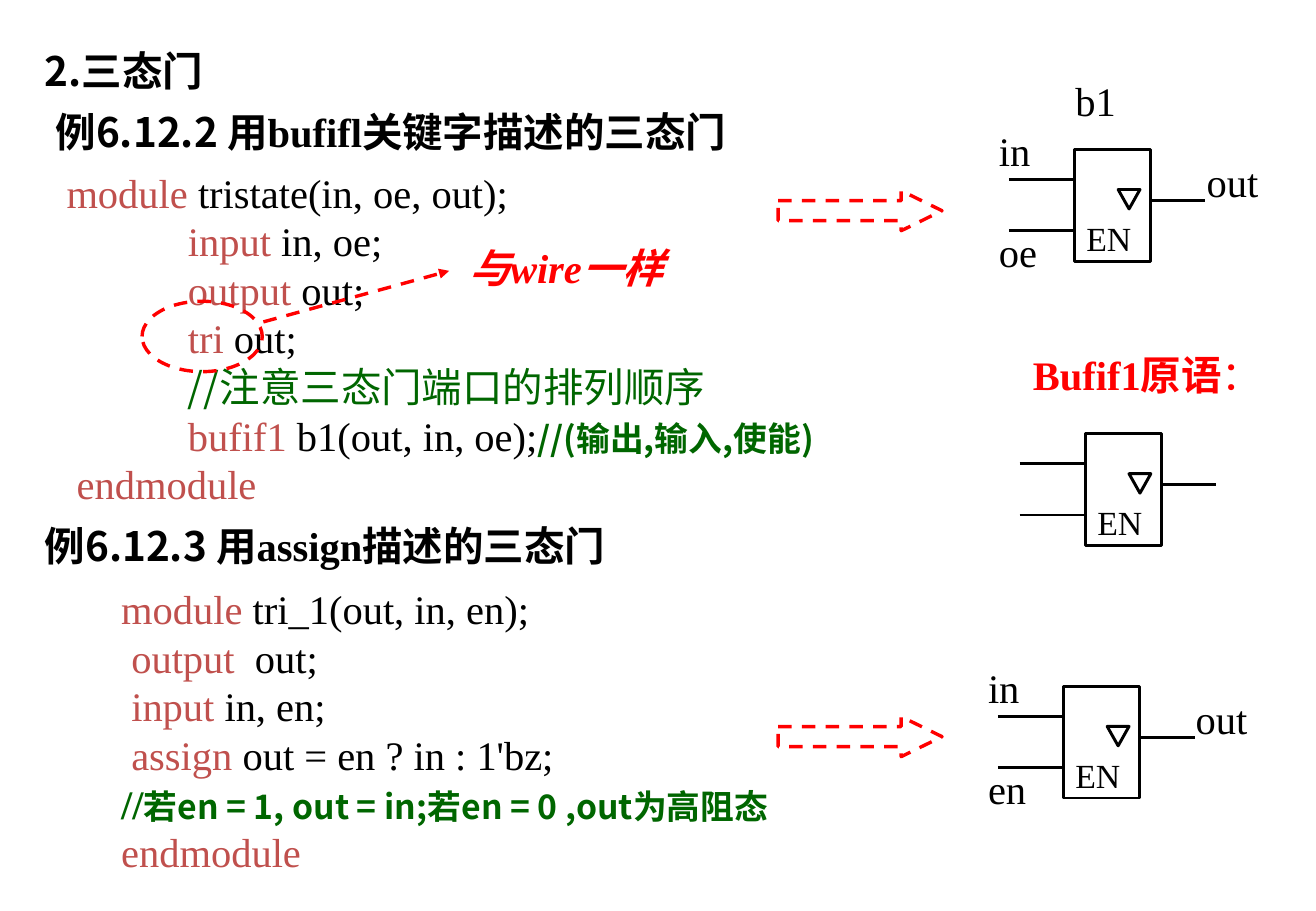
from lxml import etree
from pptx import Presentation
from pptx import util as u
from pptx.dml.color import RGBColor
from pptx.enum import dml, shapes, text
from pptx.oxml.ns import qn

I = u.Inches
LATIN, CJK = "Times New Roman", "Noto Sans CJK SC"
BLACK, RED, KEYWORD, COMMENT = "000000", "FF0000", "C0504D", "006600"


def rgb(value):
    return RGBColor.from_string(value)


def add_run(p, content, size=24, font=LATIN, color=BLACK, bold=False, italic=False):
    r = p.add_run()
    r.text = content
    f = r.font
    f.size, f.bold, f.italic = u.Pt(size), bold, italic
    f.color.rgb = rgb(color)
    f.name = font
    etree.SubElement(r.font._element, qn("a:ea"), typeface=CJK)


def add_tab_stop(p, pos):
    tabs = etree.SubElement(p._p.get_or_add_pPr(), qn("a:tabLst"))
    etree.SubElement(tabs, qn("a:tab"), pos=str(pos), algn="l")


def fill_text(sp, lines, wrap=True, **fmt):
    """Write lines, each a string or a list of (text, overrides) runs."""
    tf = sp.text_frame
    tf.word_wrap = wrap
    tf.auto_size = text.MSO_AUTO_SIZE.NONE
    tf.vertical_anchor = text.MSO_ANCHOR.TOP
    tf.margin_left = tf.margin_right = I(0.1)
    tf.margin_top, tf.margin_bottom = I(0.06), I(0.05)
    for i, line in enumerate(lines):
        p = tf.paragraphs[0] if i == 0 else tf.add_paragraph()
        p.alignment = text.PP_ALIGN.LEFT
        p.line_spacing = u.Pt(1.2 * fmt.get("size", 24))
        p.space_before = u.Pt(0)
        runs = [(line, {})] if isinstance(line, str) else line
        if runs[0][0].startswith("\t"):
            add_tab_stop(p, I(1))
        for content, overrides in runs:
            add_run(p, content, **{**fmt, **overrides})


def add_text(slide, x, y, w, h, lines, **fmt):
    fill_text(slide.shapes.add_textbox(I(x), I(y), I(w), I(h)), lines, **fmt)


def add_outline(slide, kind, x, y, w, h, color=BLACK, width=1.75, dash=False):
    sp = slide.shapes.add_shape(kind, I(x), I(y), I(w), I(h))
    sp.shadow.inherit = False
    sp.fill.background()
    sp.line.color.rgb = rgb(color)
    sp.line.width = u.Pt(width)
    if dash:
        sp.line.dash_style = dml.MSO_LINE.DASH
    return sp


def add_line(slide, x1, y1, x2, y2, color=BLACK, width=1.75):
    c = slide.shapes.add_connector(shapes.MSO_CONNECTOR.STRAIGHT, I(x1), I(y1), I(x2), I(y2))
    c.line.color.rgb = rgb(color)
    c.line.width = u.Pt(width)
    etree.SubElement(c._element.spPr, qn("a:effectLst"))
    return c


def add_gate(slide, x, y, enable=None):
    """Draw a tristate gate; its ports are labelled when enable is named."""
    add_outline(slide, shapes.MSO_SHAPE.RECTANGLE, x, y, 0.63, 0.92)
    triangle = add_outline(slide, shapes.MSO_SHAPE.ISOSCELES_TRIANGLE, x + 0.36, y + 0.33, 0.18, 0.16)
    triangle.rotation = 180
    add_line(slide, x + 0.63, y + 0.42, x + 1.08, y + 0.42)
    for dy in (0.25, 0.67):
        add_line(slide, x - 0.54, y + dy, x, y + dy)
    add_text(slide, x, y + 0.5, 0.62, 0.44, ["EN"], size=20)
    if enable:
        for label, dx, dy in (("out", 0.99, 0), ("in", -0.72, -0.25), (enable, -0.72, 0.58)):
            add_text(slide, x + dx, y + dy, 0.62, 0.5, [label], wrap=False)


def add_block_arrow(slide, x, y):
    sp = add_outline(slide, shapes.MSO_SHAPE.RIGHT_ARROW, x, y, 1.35, 0.33, RED, 2, dash=True)
    sp.adjustments[0], sp.adjustments[1] = 0.5, 1.02


def add_tri_callout(slide):
    add_outline(slide, shapes.MSO_SHAPE.OVAL, 1.17, 2.48, 0.99, 0.58, RED, 2, dash=True)
    arrow = add_line(slide, 2.17, 2.65, 3.7, 2.23, RED, 2)
    arrow.line.dash_style = dml.MSO_LINE.DASH
    etree.SubElement(arrow.line._get_or_add_ln(), qn("a:tailEnd"), type="triangle")
    add_text(slide, 3.77, 1.94, 2.37, 0.5, ["与wire一样"], color=RED, bold=True, italic=True)


def code(before, keyword, after=""):
    runs = [(before, {}), (keyword, {"color": KEYWORD}), (after, {})]
    return [run for run in runs if run[0]]


def add_heading(slide, x, y, number, keyword, rest):
    runs = [(f"例{number} 用", {}), (keyword, {"font": LATIN}), (rest, {})]
    add_text(slide, x, y, 6.59, 0.5, [runs], font=CJK, bold=True)


def main():
    prs = Presentation()
    prs.slide_width, prs.slide_height = I(10.84), I(7.5)
    slide = prs.slides.add_slide(prs.slide_layouts[5])

    title = slide.shapes.title
    title.left, title.top, title.width, title.height = I(0.27), I(0.32), I(2.17), I(0.5)
    fill_text(title, ["2.三态门"], font=CJK, bold=True)

    note = {"color": COMMENT, "font": CJK}
    strong_note = {**note, "size": 20, "bold": True}
    add_heading(slide, 0.36, 0.82, "6.12.2", "bufifl", "关键字描述的三态门")
    add_text(slide, 0.45, 1.32, 7.94, 2.9, [
        code("", "module", " tristate(in, oe, out);"),
        code("\t", "input", " in, oe;"),
        code("\t", "output", " out;"),
        code("\t", "tri", " out;"),
        [("\t//注意三态门端口的排列顺序", note)],
        code("\t", "bufif1", " b1(out, in, oe);") + [("//(输出,输入,使能)", strong_note)],
        code(" ", "endmodule"),
    ])
    add_heading(slide, 0.27, 4.23, "6.12.3", "assign", "描述的三态门")
    add_text(slide, 0.9, 4.75, 6.5, 2.5, [
        code("", "module", " tri_1(out, in, en);"),
        code(" ", "output", "  out;"),
        code(" ", "input", " in, en;"),
        code(" ", "assign", " out = en ? in : 1'bz;"),
        [("//", {"color": COMMENT, "bold": True}),
         ("若en = 1, out = in;若en = 0 ,out为高阻态", strong_note)],
        code("", "endmodule"),
    ])

    add_gate(slide, 8.85, 1.23, "oe")
    add_text(slide, 8.76, 0.57, 0.53, 0.5, ["b1"], wrap=False)
    add_text(slide, 8.41, 2.82, 2.17, 0.5,
             [[("Bufif1原语", {"bold": True}), ("：", {})]], color=RED)
    add_gate(slide, 8.94, 3.57)
    add_gate(slide, 8.76, 5.65, "en")
    for y in (1.57, 5.9):
        add_block_arrow(slide, 6.41, y)
    add_tri_callout(slide)
    prs.save("out.pptx")


if __name__ == "__main__":
    main()
